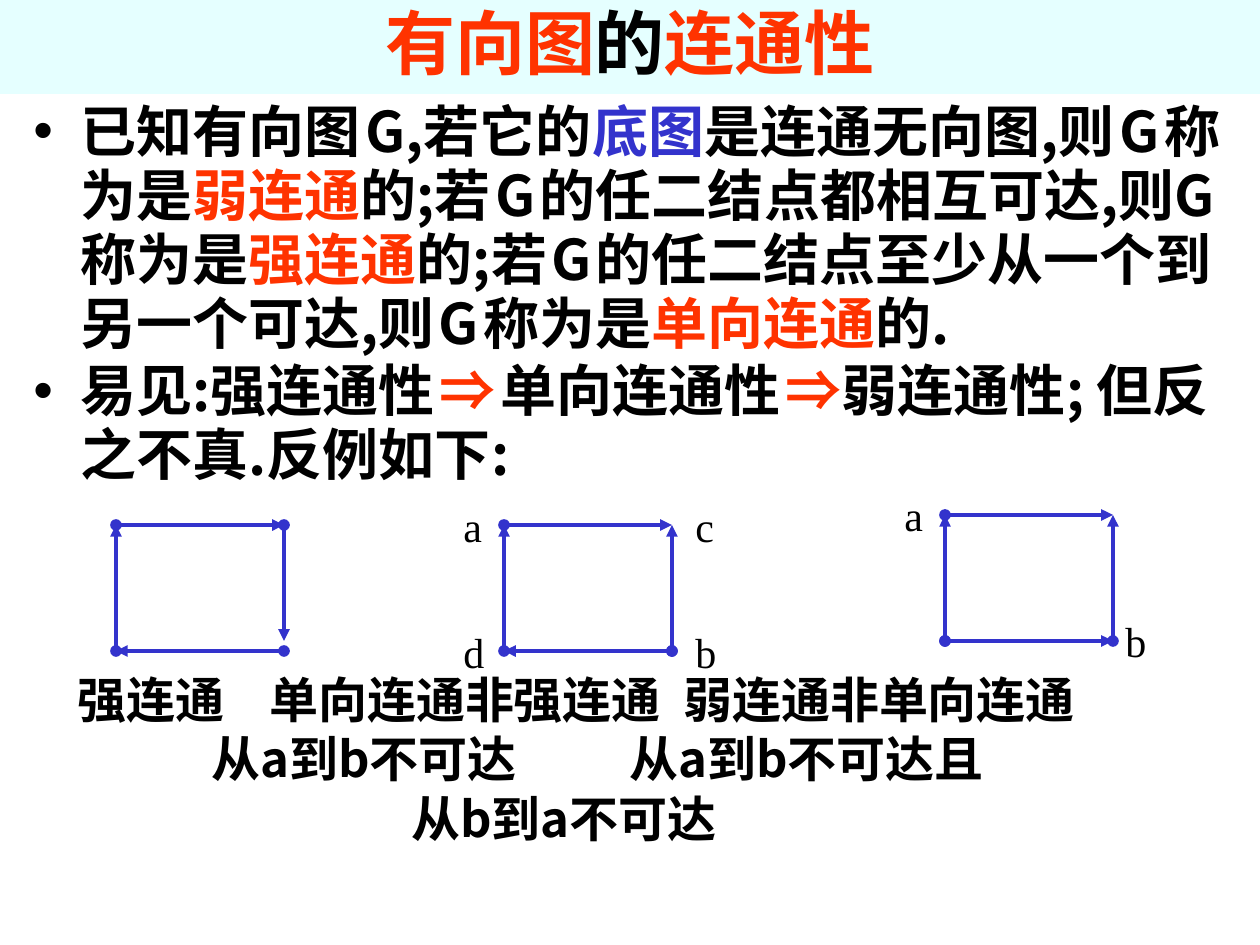
from pptx import Presentation
from pptx.dml.color import RGBColor
from pptx.enum.shapes import MSO_CONNECTOR, MSO_SHAPE
from pptx.enum.text import MSO_ANCHOR, PP_ALIGN
from pptx.oxml.ns import qn
from pptx.util import Emu, Pt
from lxml import etree

STRAIGHT = MSO_CONNECTOR.STRAIGHT
RECTANGLE = MSO_SHAPE.RECTANGLE
MIDDLE = MSO_ANCHOR.MIDDLE
CENTER = PP_ALIGN.CENTER

EMU_PER_PX = 914400 / 126
CJK, SERIF, ARROW_FONT = "Noto Sans CJK SC", "Times New Roman", "Arial"
BLACK, RED, BLUE, PALE_CYAN = "000000", "FF3300", "3333CC", "CCFFFF"
GRAPH_WIDTH, GRAPH_HEIGHT = 168, 126
TEXT_LEFT = 34

TITLE = [("有向图", RED), ("的", BLACK), ("连通性", RED)]
GAP = (" ", BLACK, 12)
THIN_GAP = (" ", BLACK, 10)
DEFINITION = [
    ("已知有向图", BLACK), GAP, ("G,若它的", BLACK), ("底图", BLUE),
    ("是连通无向图,则", BLACK), GAP, ("G", BLACK), GAP, ("称为是", BLACK),
    ("弱连通", RED), ("的;若", BLACK), GAP, ("G", BLACK), THIN_GAP,
    ("的任二结点都相互可达,则G称为是", BLACK), ("强连通", RED),
    ("的;若", BLACK), THIN_GAP, ("G", BLACK), THIN_GAP,
    ("的任二结点至少从一个到另一个可达,则", BLACK), THIN_GAP, ("G", BLACK),
    THIN_GAP, ("称为是", BLACK), ("单向连通", RED), ("的.", BLACK),
]
IMPLICATION = [
    ("易见:强连通性", BLACK), GAP, ("⇒", RED, 32, ARROW_FONT), GAP,
    ("单向连通性", BLACK), GAP, ("⇒", RED, 32, ARROW_FONT),
    ("弱连通性; 但反之不真.反例如下:", BLACK),
]
CAPTION_ROWS = [
    [(78, "强连通"), (270, "单向连通非强连通"), (684, "弱连通非单向连通")],
    [(212, "从a到b不可达"), (630, "从a到b不可达且")],
    [(412, "从b到a不可达")],
]
# Each edge runs between corners given as (column, row).
NW, NE, SW, SE = (0, 0), (1, 0), (0, 1), (1, 1)
GRAPHS = [
    (116, 525, [(NW, NE), (SW, NW), (SE, SW), (NE, (1, 0.92))]),
    (504, 525, [(NW, NE), (SW, NW), (SE, SW), (SE, NE)]),
    (945, 515, [(NW, NE), (SW, NW), (SW, SE), (SE, NE)]),
]
NODE_LABELS = [
    ("a", 451, 494), ("c", 683, 494), ("d", 451, 620), ("b", 683, 620),
    ("a", 892, 483), ("b", 1113, 609),
]


def px(length):
    return Emu(round(length * EMU_PER_PX))


def rgb(color):
    return RGBColor.from_string(color)


def add_run(paragraph, text, color, size=32, font=CJK, bold=True):
    run = paragraph.add_run()
    run.text = text
    run.font.size = Pt(size)
    run.font.bold = bold
    run.font.name = font
    run.font.color.rgb = rgb(color)
    for script in ("a:ea", "a:sym"):
        etree.SubElement(run._r.rPr, qn(script), typeface=font)


def add_text_frame(slide, left, top, width, height):
    frame = slide.shapes.add_textbox(px(left), px(top), px(width), px(height)).text_frame
    frame.word_wrap = True
    return frame


def add_title(slide):
    banner = slide.shapes.add_shape(RECTANGLE, 0, 0, px(1260), px(94))
    banner.shadow.inherit = False
    banner.line.fill.background()
    banner.fill.solid()
    banner.fill.fore_color.rgb = rgb(PALE_CYAN)
    color = banner._element.spPr.find(".//" + qn("a:srgbClr"))
    etree.SubElement(color, qn("a:alpha"), val="50000")
    banner.text_frame.vertical_anchor = MIDDLE
    heading = banner.text_frame.paragraphs[0]
    heading.alignment = CENTER
    heading.line_spacing = 0.9
    for text, run_color in TITLE:
        add_run(heading, text, run_color, 40)


def set_bullet(paragraph):
    properties = paragraph._p.get_or_add_pPr()
    properties.set("marL", str(px(47)))
    properties.set("indent", str(px(-47)))
    bullet_color = etree.SubElement(properties, qn("a:buClr"))
    etree.SubElement(bullet_color, qn("a:srgbClr"), val=BLACK)
    etree.SubElement(properties, qn("a:buFont"), typeface=ARROW_FONT)
    etree.SubElement(properties, qn("a:buChar"), char="•")


def set_tabs(paragraph, positions):
    tabs = etree.SubElement(paragraph._p.get_or_add_pPr(), qn("a:tabLst"))
    for position in positions:
        etree.SubElement(tabs, qn("a:tab"), pos=str(px(position - TEXT_LEFT)), algn="l")


def add_body(slide):
    frame = add_text_frame(slide, 21, 94, 1218, 829)
    for index, runs in enumerate((DEFINITION, IMPLICATION)):
        paragraph = frame.add_paragraph() if index else frame.paragraphs[0]
        set_bullet(paragraph)
        paragraph.line_spacing = Pt(36.5)
        if index:
            paragraph.space_before = Pt(2)
        for run in runs:
            add_run(paragraph, *run)
    for index, row in enumerate(CAPTION_ROWS):
        paragraph = frame.add_paragraph()
        set_tabs(paragraph, [position for position, _ in row])
        paragraph.line_spacing = Pt(32)
        paragraph.space_before = Pt(1.8 if index else 106)
        add_run(paragraph, "".join("\t" + caption for _, caption in row), BLACK, 28)


def add_edge(slide, start, end):
    edge = slide.shapes.add_connector(STRAIGHT, *map(px, start + end))
    edge.line.color.rgb = rgb(BLUE)
    edge.line.width = Pt(2.25)
    outline = edge.line._get_or_add_ln()
    etree.SubElement(outline, qn("a:headEnd"), type="oval")
    etree.SubElement(outline, qn("a:tailEnd"), type="triangle")
    etree.SubElement(edge._element.spPr, qn("a:effectLst"))


def add_graph(slide, left, top, edges):
    for edge in edges:
        start, end = ((left + column * GRAPH_WIDTH, top + row * GRAPH_HEIGHT)
                      for column, row in edge)
        add_edge(slide, start, end)


def add_node_label(slide, name, left, top):
    frame = add_text_frame(slide, left, top, 53, 63)
    add_run(frame.paragraphs[0], name, BLACK, 24, SERIF, False)


def main():
    presentation = Presentation()
    presentation.slide_width, presentation.slide_height = px(1260), px(945)
    slide = presentation.slides.add_slide(presentation.slide_layouts[6])
    add_title(slide)
    add_body(slide)
    for graph in GRAPHS:
        add_graph(slide, *graph)
    for label in NODE_LABELS:
        add_node_label(slide, *label)
    presentation.save("out.pptx")


if __name__ == "__main__":
    main()
